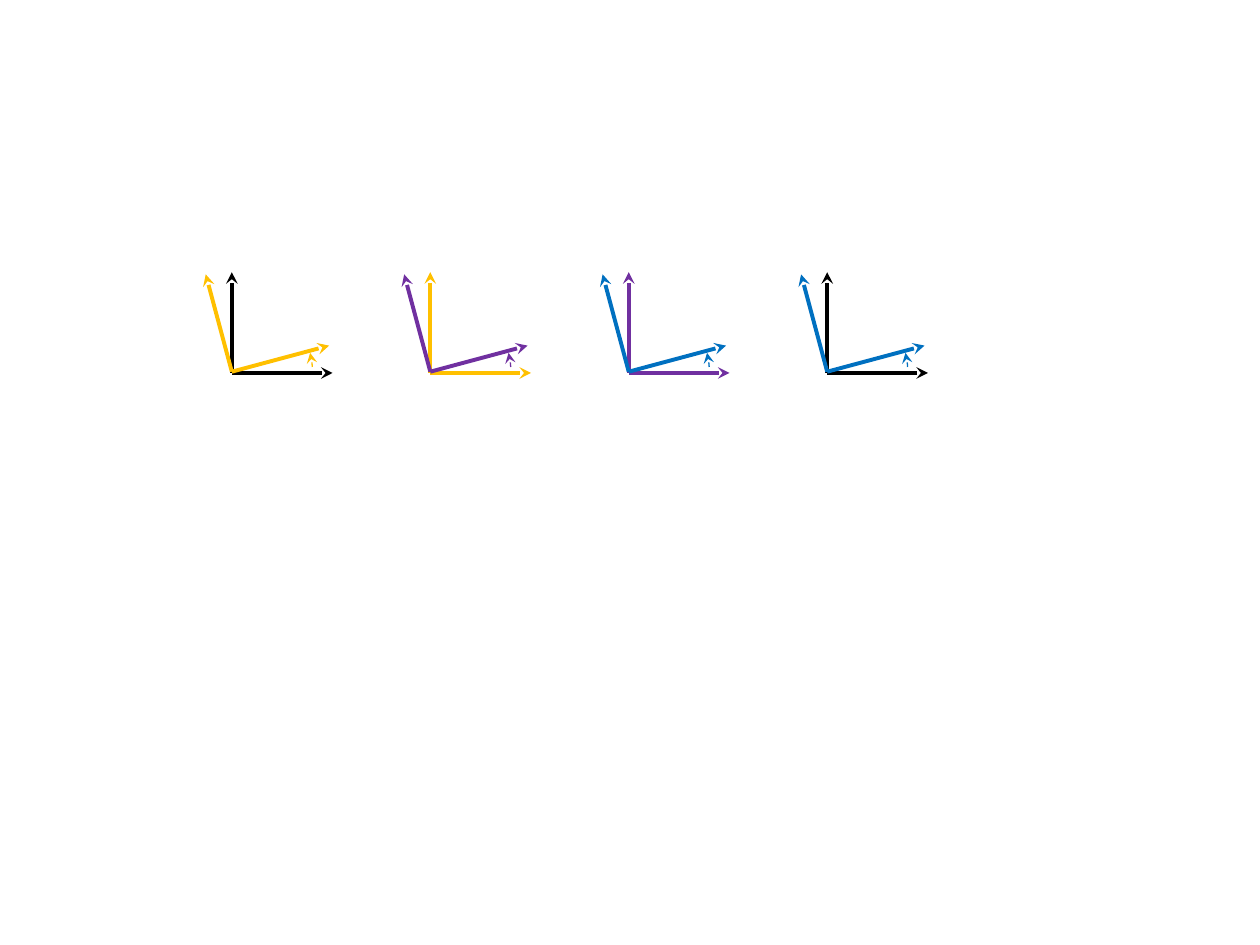
import math
from dataclasses import dataclass

import pptx
import pptx.dml.color
import pptx.enum.shapes
import pptx.oxml.ns
import pptx.oxml.xmlchemy
import pptx.util
from lxml import etree

Inches = pptx.util.Inches

# Geometry, in inches and degrees
FIRST_X, STEP_X, ORIGIN_Y = 1.84, 1.575, 2.96
AXIS_LENGTH = 0.8
TURN = 15
ARC_SIZE = 1.26

BLACK, GOLD, PURPLE, BLUE = "000000", "FFC000", "7030A0", "0070C0"


@dataclass
class Rotation:
    """A coordinate frame and the frame it turns into."""
    before: str
    after: str


ROTATIONS = [
    Rotation(BLACK, GOLD),
    Rotation(GOLD, PURPLE),
    Rotation(PURPLE, BLUE),
    Rotation(BLACK, BLUE),
]


def add_element(parent, tag: str, **attributes: str) -> None:
    etree.SubElement(parent, pptx.oxml.ns.qn(tag), **attributes)


def style_line(sp, color: str, width: float, arrow_end: str) -> None:
    """Colour a line and put a stealth arrowhead on one end."""
    sp.line.color.rgb = pptx.dml.color.RGBColor.from_string(color)
    sp.line.width = pptx.util.Pt(width)
    add_element(sp.line._get_or_add_ln(), arrow_end, type="stealth")


def add_axis(shapes, x: float, y: float, angle: float, color: str) -> None:
    """Draw one axis from (x, y), with the angle counterclockwise."""
    a = math.radians(angle)
    axis = shapes.add_connector(
        pptx.enum.shapes.MSO_CONNECTOR.STRAIGHT,
        Inches(x), Inches(y),
        Inches(x + AXIS_LENGTH * math.cos(a)),
        Inches(y - AXIS_LENGTH * math.sin(a)),
    )
    style_line(axis, color, 2.25, "a:tailEnd")
    add_element(axis._element.spPr, "a:effectLst")


def add_turn_arc(shapes, x: float, y: float, color: str) -> None:
    """Draw the small arc that shows the direction of turning."""
    arc = shapes.add_shape(
        pptx.enum.shapes.MSO_SHAPE.ARC,
        Inches(x - 0.62), Inches(y - 0.64), Inches(ARC_SIZE), Inches(ARC_SIZE),
    )
    arc.adjustments[0] = 207.79
    arc.adjustments[1] = 214
    arc.fill.background()
    style_line(arc, color, 0.75, "a:headEnd")
    arc.shadow.inherit = False


def add_rotation(s, x: float, rotation: Rotation) -> None:
    shapes = s.shapes.add_group_shape().shapes
    for angle in (0, 90):
        add_axis(shapes, x, ORIGIN_Y, angle, rotation.before)
    for angle in (TURN, 90 + TURN):
        add_axis(shapes, x, ORIGIN_Y - 0.01, angle, rotation.after)
    add_turn_arc(shapes, x, ORIGIN_Y, rotation.after)


def main() -> None:
    prs = pptx.Presentation()
    prs.slide_width, prs.slide_height = Inches(10), Inches(7.5)
    s = prs.slides.add_slide(prs.slide_layouts[6])  # blank layout

    # Row of rotated frames
    for i, rotation in enumerate(ROTATIONS):
        add_rotation(s, FIRST_X + i * STEP_X, rotation)

    prs.save("out.pptx")


if __name__ == "__main__":
    main()
